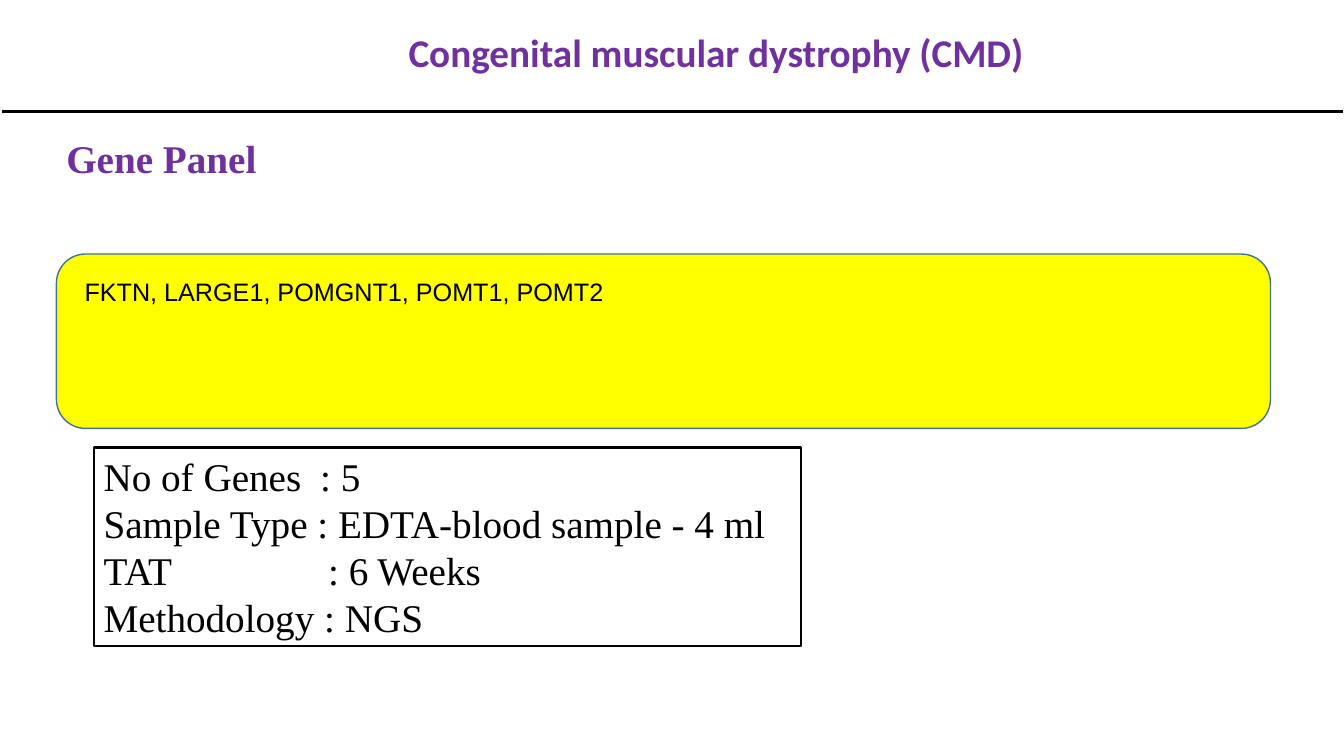
from lxml.etree import SubElement
from pptx import Presentation
from pptx.dml.color import RGBColor
from pptx.enum.shapes import MSO_CONNECTOR, MSO_SHAPE
from pptx.enum.text import MSO_ANCHOR, MSO_AUTO_SIZE, PP_ALIGN
from pptx.oxml.ns import qn
from pptx.util import Inches, Pt

WIDTH, HEIGHT = Inches(13.34), Inches(7.5)
PURPLE, BLACK, YELLOW, BLUE = "7030A0", "000000", "FFFF00", "41719C"

TITLE_FONT = {"name": "Calibri", "size": Pt(28), "bold": True}
HEADING_FONT = {"name": "Times New Roman", "size": Pt(28), "bold": True}
GENE_FONT = {"name": "Arial", "size": Pt(18)}
DETAIL_FONT = {"name": "Times New Roman", "size": Pt(28)}

DETAILS = [
    ("No of Genes\t: 5", 2.15),
    ("Sample Type : EDTA-blood sample - 4 ml", None),
    ("TAT\t: 6 Weeks", 2.23),
    ("Methodology : NGS", None),
]


def paint(color_format, value):
    color_format.rgb = RGBColor.from_string(value)


def place(left, top, width, height):
    return [int(share * side / 100) for share, side in
            zip((left, top, width, height), (WIDTH, HEIGHT) * 2)]


def set_values(target, values):
    for name, value in values.items():
        setattr(target, name, value)


def add_outline(shape, color, weight):
    paint(shape.line.color, color)
    shape.line.width = Pt(weight)


def add_panel(page, kind, area, line_color, weight, fill=None):
    panel = page.shapes.add_shape(kind, *place(*area))
    panel.shadow.inherit = False
    if fill:
        panel.fill.solid()
        paint(panel.fill.fore_color, fill)
    else:
        panel.fill.background()
    add_outline(panel, line_color, weight)
    return panel


def add_rule(page, left, right, top):
    start_x, start_y, end_x, end_y = place(left, top, right, top)
    rule = page.shapes.add_connector(MSO_CONNECTOR.STRAIGHT, start_x, start_y, end_x, end_y)
    add_outline(rule, BLACK, 2.25)
    SubElement(rule._element.spPr, qn("a:effectLst"))


def add_tab_stop(para, position):
    stops = SubElement(para._p.get_or_add_pPr(), qn("a:tabLst"))
    SubElement(stops, qn("a:tab"), pos=str(Inches(position)), algn="l")


def write_lines(box, lines, font, color, anchor=MSO_ANCHOR.TOP, layout=None):
    frame = box.text_frame
    set_values(frame, {"word_wrap": True, "vertical_anchor": anchor,
                       "auto_size": MSO_AUTO_SIZE.NONE})
    for index, (text, tab_stop) in enumerate(lines):
        para = frame.add_paragraph() if index else frame.paragraphs[0]
        set_values(para, layout or {"alignment": PP_ALIGN.LEFT})
        if tab_stop:
            add_tab_stop(para, tab_stop)
        span = para.add_run()
        span.text = text
        set_values(span.font, font)
        paint(span.font.color, color)


def add_label(page, area, text, font, color, **options):
    box = page.shapes.add_textbox(*place(*area))
    write_lines(box, [(text, None)], font, color, **options)


def main():
    deck = Presentation()
    set_values(deck, {"slide_width": WIDTH, "slide_height": HEIGHT})
    page = deck.slides.add_slide(deck.slide_layouts[6])

    add_label(page, (10.49, 0, 86.21, 14.53), "Congenital muscular dystrophy (CMD) ",
              TITLE_FONT, PURPLE, anchor=MSO_ANCHOR.MIDDLE,
              layout={"alignment": PP_ALIGN.CENTER, "line_spacing": 0.9})
    add_rule(page, 0.15, 99.93, 14.8)
    add_panel(page, MSO_SHAPE.ROUNDED_RECTANGLE, (4.2, 33.6, 90.33, 23.07), BLUE, 1, YELLOW)
    add_label(page, (5.55, 35.87, 86.21, 5.33), "FKTN, LARGE1, POMGNT1, POMT1, POMT2",
              GENE_FONT, BLACK)
    details = add_panel(page, MSO_SHAPE.RECTANGLE, (6.97, 59.2, 52.62, 26.27), BLACK, 1.5)
    write_lines(details, DETAILS, DETAIL_FONT, BLACK)
    add_label(page, (4.2, 17.07, 28.41, 7.6), "Gene Panel", HEADING_FONT, PURPLE)

    deck.save("out.pptx")


if __name__ == "__main__":
    main()
